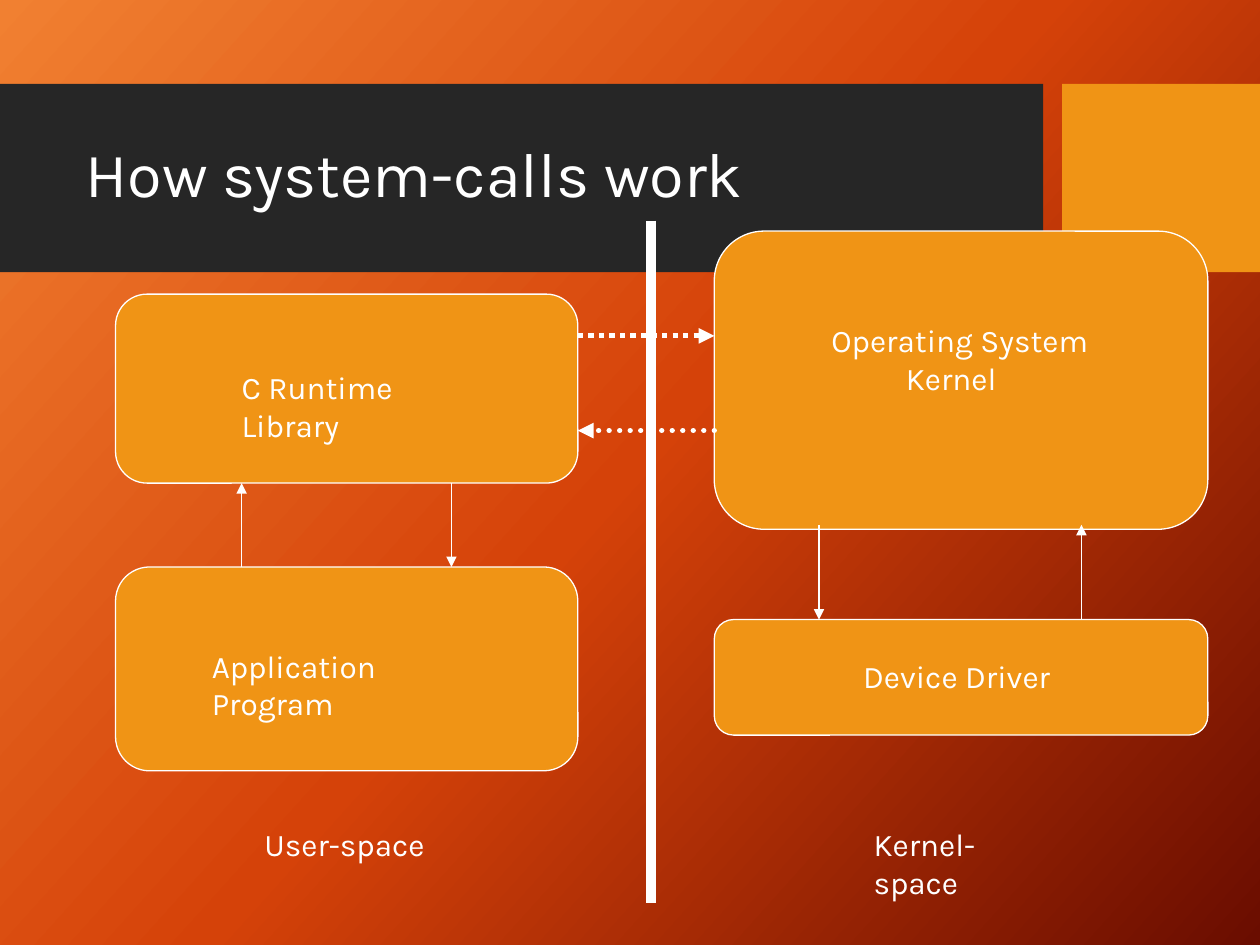
"""Build a slide that shows how system calls pass between user space and kernel space."""
from copy import deepcopy

from lxml import etree
from pptx import Presentation
from pptx.dml.color import RGBColor
from pptx.enum.dml import MSO_LINE
from pptx.enum.shapes import MSO_CONNECTOR, MSO_SHAPE
from pptx.enum.text import MSO_ANCHOR, MSO_AUTO_SIZE, PP_ALIGN
from pptx.oxml.ns import qn
from pptx.util import Cm, Pt

RECTANGLE = MSO_SHAPE.RECTANGLE
ROUNDED = MSO_SHAPE.ROUNDED_RECTANGLE
STRAIGHT = MSO_CONNECTOR.STRAIGHT
DOTTED = MSO_LINE.ROUND_DOT
MIDDLE = MSO_ANCHOR.MIDDLE
LEFT = PP_ALIGN.LEFT
NO_AUTOFIT = MSO_AUTO_SIZE.NONE

WHITE = RGBColor(0xFF, 0xFF, 0xFF)
CHARCOAL = RGBColor(0x26, 0x26, 0x26)
AMBER = RGBColor(0xF0, 0x94, 0x15)
BACKGROUND = (
    (0, RGBColor(0xF1, 0x80, 0x31)),
    (0.5, RGBColor(0xD5, 0x42, 0x09)),
    (1, RGBColor(0x6A, 0x0D, 0x00)),
)
FONT = "Karla"

BANDS = ((0, 21.03, CHARCOAL), (21.41, 3.99, AMBER))
USER_LEFT, USER_WIDTH = 2.33, 9.32
KERNEL_LEFT, KERNEL_WIDTH = 14.4, 9.95
USER_RIGHT = USER_LEFT + USER_WIDTH
BOXES = (
    (USER_LEFT, 5.93, USER_WIDTH, 3.81),
    (KERNEL_LEFT, 4.66, KERNEL_WIDTH, 6.01),
    (USER_LEFT, 11.43, USER_WIDTH, 4.11),
    (KERNEL_LEFT, 12.49, KERNEL_WIDTH, 2.33),
)
LABELS = (
    (4.02, 12.91, 6.21, ["Application Program"]),
    (5.08, 16.51, 3.9, ["User-space"]),
    (17.36, 16.51, 4.23, ["Kernel-space"]),
    (4.62, 7.3, 5.63, ["C Runtime Library"]),
    (16.51, 6.35, 5.75, ["Operating System", "Kernel"]),
    (17.15, 13.12, 4.4, ["Device Driver"]),
)
SECOND_LINE_INDENT = 1.5
VERTICAL_ARROWS = (
    (4.87, 11.43, 9.74),
    (9.1, 9.74, 11.43),
    (16.51, 10.58, 12.49),
    (21.8, 12.49, 10.58),
)


def paint_background(slide):
    """Fill the slide with a diagonal three-colour gradient."""
    fill = slide.background.fill
    fill.gradient()
    fill.gradient_angle = 318
    stop_list = slide.element.find(".//" + qn("a:gsLst"))
    stop_list.append(deepcopy(stop_list[-1]))
    for stop, (position, color) in zip(fill.gradient_stops, BACKGROUND):
        stop.position = position
        stop.color.rgb = color


def add_block(slide, kind, left, top, width, height, color):
    """Add a filled shape without outline or shadow."""
    shape = slide.shapes.add_shape(kind, Cm(left), Cm(top), Cm(width), Cm(height))
    shape.shadow.inherit = False
    shape.fill.solid()
    shape.fill.fore_color.rgb = color
    shape.line.fill.background()
    return shape


def add_box(slide, left, top, width, height):
    """Add an outlined rounded box for a system component."""
    box = add_block(slide, ROUNDED, left, top, width, height, AMBER)
    box.line.color.rgb = WHITE
    box.line.width = Pt(0.75)


def style_text(paragraph, size):
    """Apply the slide's font in white."""
    paragraph.font.name = FONT
    paragraph.font.size = Pt(size)
    paragraph.font.color.rgb = WHITE


def place_title(slide, text):
    """Move the title placeholder in front of the bands and format it."""
    title = slide.shapes.title
    slide.shapes.element.append(title.element)
    title.left, title.top, title.width, title.height = Cm(1.47), Cm(2.08), Cm(19.13), Cm(3)
    frame = title.text_frame
    frame.text = text
    frame.auto_size = NO_AUTOFIT
    frame.vertical_anchor = MIDDLE
    paragraph = frame.paragraphs[0]
    paragraph.alignment = LEFT
    paragraph.line_spacing = 0.9
    style_text(paragraph, 36)


def add_label(slide, left, top, width, lines):
    """Add a wrapping label whose second line is indented."""
    height = 1.02 if len(lines) == 1 else 1.78
    frame = slide.shapes.add_textbox(Cm(left), Cm(top), Cm(width), Cm(height)).text_frame
    frame.word_wrap = True
    frame.text = "\n".join(lines)
    for index, paragraph in enumerate(frame.paragraphs):
        if index:
            properties = paragraph._p.get_or_add_pPr()
            properties.set("marL", str(Cm(SECOND_LINE_INDENT)))
        style_text(paragraph, 18)


def add_line(slide, start, end, width):
    """Add a white straight line without shadow."""
    connector = slide.shapes.add_connector(
        STRAIGHT, Cm(start[0]), Cm(start[1]), Cm(end[0]), Cm(end[1])
    )
    connector.line.color.rgb = WHITE
    connector.line.width = Pt(width)
    etree.SubElement(connector.element.spPr, qn("a:effectLst"))
    return connector


def add_arrow(slide, start, end, width=0.75, dash=None, cap="flat"):
    """Add a line with a triangle at its end."""
    connector = add_line(slide, start, end, width)
    if dash is not None:
        connector.line.dash_style = dash
    outline = connector.element.spPr.find(qn("a:ln"))
    outline.set("cap", cap)
    etree.SubElement(outline, qn("a:tailEnd"), type="triangle")


def main():
    """Assemble and save the slide."""
    presentation = Presentation()
    presentation.slide_width = Cm(25.4)
    presentation.slide_height = Cm(19.05)
    slide = presentation.slides.add_slide(presentation.slide_layouts[5])
    paint_background(slide)
    for left, width, color in BANDS:
        add_block(slide, RECTANGLE, left, 1.69, width, 3.8, color)
    place_title(slide, "How system-calls work")
    for box in BOXES:
        add_box(slide, *box)
    add_line(slide, (13.12, 4.45), (13.12, 18.2), 6)
    for label in LABELS:
        add_label(slide, *label)
    for x, start, end in VERTICAL_ARROWS:
        add_arrow(slide, (x, start), (x, end))
    add_arrow(slide, (USER_RIGHT, 6.77), (KERNEL_LEFT, 6.77), 3, DOTTED)
    add_arrow(slide, (KERNEL_LEFT, 8.68), (USER_RIGHT, 8.68), 3, DOTTED, "rnd")
    presentation.save("out.pptx")


if __name__ == "__main__":
    main()
